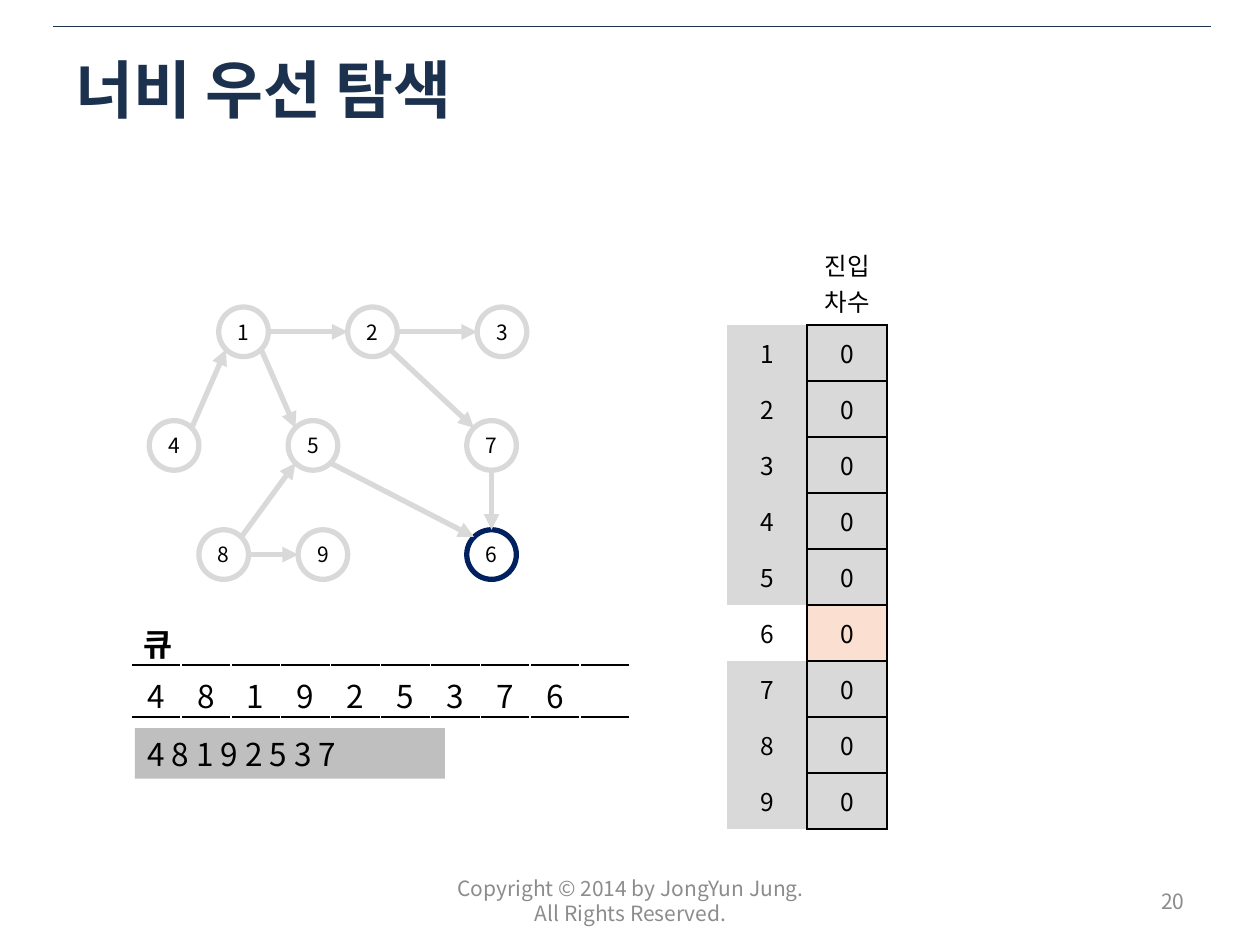
"""Build the breadth-first search slide with its graph, in-degree table and queue."""
from lxml.etree import SubElement
from pptx import Presentation
from pptx.dml.color import RGBColor
from pptx.enum.shapes import MSO_CONNECTOR, MSO_SHAPE
from pptx.enum.text import MSO_ANCHOR, PP_ALIGN
from pptx.oxml.ns import qn
from pptx.util import Cm, Pt

FONT = "Noto Sans CJK KR"
NO_STYLE = "{2D5ABB26-0587-4C30-8999-92F81FD0307C}"
COLORS = {
    "title": "1C314E", "footer": "8C8C8C", "text": "000000", "white": "FFFFFF",
    "done": "D9D9D9", "current": "002060", "highlight": "FBE0D1", "output": "BFBFBF",
}


def write(tf, text, size, align=PP_ALIGN.LEFT, color="text", bold=False):
    p = tf.paragraphs[0]
    p.text = text
    p.alignment = align
    p.font.size = Pt(size)
    p.font.bold = bold
    p.font.name = FONT
    p.font.color.rgb = RGBColor.from_string(COLORS[color])
    SubElement(p._p.pPr.find(qn("a:defRPr")), qn("a:ea"), typeface=FONT)


def set_borders(cell, **sides):
    tcPr = cell._tc.get_or_add_tcPr()
    for i, side in enumerate(s for s in "LRTB" if s in sides):
        ln = tcPr.makeelement(qn(f"a:ln{side}"), {"w": str(Pt(1))})
        fill = SubElement(ln, qn("a:solidFill"))
        SubElement(fill, qn("a:srgbClr"), val=COLORS[sides[side]])
        tcPr.insert(i, ln)


prs = Presentation()
prs.slide_width, prs.slide_height = Cm(25.4), Cm(19.05)
s = prs.slides.add_slide(prs.slide_layouts[6])

labels = [
    ("Copyright © 2014 by JongYun Jung. All Rights Reserved.",
     8.69, 17.65, 8.05, 1.02, 12, PP_ALIGN.CENTER, "footer", False),
    ("20", 18.21, 17.65, 5.92, 1.02, 12, PP_ALIGN.RIGHT, "footer", False),
    ("너비 우선 탐색", 1.27, 0.84, 22.86, 1.9, 36, PP_ALIGN.LEFT, "title", True),
]
for text, x, y, w, h, size, align, color, bold in labels:
    tf = s.shapes.add_textbox(Cm(x), Cm(y), Cm(w), Cm(h)).text_frame
    tf.word_wrap = True
    tf.vertical_anchor = MSO_ANCHOR.MIDDLE
    write(tf, text, size, align, color, bold)

R = 0.5
nodes = {
    1: (4.91, 6.69), 2: (7.51, 6.69), 3: (10.12, 6.69),
    4: (3.51, 8.98), 5: (6.31, 8.98), 7: (9.91, 8.98),
    8: (4.51, 11.18), 9: (6.51, 11.18), 6: (9.91, 11.18),
}
edges = [(1, 2), (2, 3), (4, 1), (1, 5), (2, 7), (8, 5), (8, 9), (5, 6), (7, 6)]
current = 6

for node, (x, y) in nodes.items():
    sp = s.shapes.add_shape(MSO_SHAPE.OVAL, Cm(x - R), Cm(y - R), Cm(2 * R), Cm(2 * R))
    sp.shadow.inherit = False
    sp.fill.background()
    sp.line.width = Pt(3)
    sp.line.color.rgb = RGBColor.from_string(COLORS["current" if node == current else "done"])
    tf = sp.text_frame
    tf.margin_left = tf.margin_right = tf.margin_top = tf.margin_bottom = 0
    tf.vertical_anchor = MSO_ANCHOR.MIDDLE
    write(tf, str(node), 12, PP_ALIGN.CENTER)

lines = [(1.07, 0.53, 24.41, 0.53, "title", 0.25)]
for a, b in edges:
    (x1, y1), (x2, y2) = nodes[a], nodes[b]
    dx = (x2 > x1) - (x2 < x1)
    dy = (y2 > y1) - (y2 < y1)
    reach = R * 0.71 if dx and dy else R
    lines.append((x1 + dx * reach, y1 + dy * reach, x2 - dx * reach, y2 - dy * reach, "done", 3))

for x1, y1, x2, y2, color, width in lines:
    cxn = s.shapes.add_connector(MSO_CONNECTOR.STRAIGHT, Cm(x1), Cm(y1), Cm(x2), Cm(y2))
    cxn.line.color.rgb = RGBColor.from_string(COLORS[color])
    cxn.line.width = Pt(width)
    if color == "done":
        SubElement(cxn.line._get_or_add_ln(), qn("a:tailEnd"), type="triangle")
    SubElement(cxn._element.spPr, qn("a:effectLst"))

degrees = s.shapes.add_table(10, 2, Cm(14.66), Cm(4.85), Cm(3.22), Cm(11.87)).table
queue = s.shapes.add_table(2, 10, Cm(2.64), Cm(12.37), Cm(10.06), Cm(2.08)).table
for table in (degrees, queue):
    table.first_row = table.horz_banding = False
    table._tbl.tblPr[0].text = NO_STYLE
    for cell in table.iter_cells():
        cell.fill.background()

for i, row in enumerate(degrees.rows):
    row.height = Cm(1.13 if i else 1.7)
    for j, cell in enumerate(row.cells):
        cell.vertical_anchor = MSO_ANCHOR.MIDDLE
        text = ("0" if j else str(i)) if i else ("진입차수" if j else "")
        write(cell.text_frame, text, 14, PP_ALIGN.CENTER)
        if i and (j or i != current):
            cell.fill.solid()
            cell.fill.fore_color.rgb = RGBColor.from_string(
                COLORS["highlight" if i == current else "done"])
        if i and j:
            set_borders(cell, L="text", R="text", T="text", B="text")

order = "481925376"
for i, row in enumerate(queue.rows):
    row.height = Cm(1.04)
    for j, cell in enumerate(row.cells):
        cell.margin_top, cell.margin_bottom = Cm(0.13), 0
        if i:
            write(cell.text_frame, order[j:j + 1], 18, PP_ALIGN.CENTER)
            set_borders(cell, L="white", R="white", T="text", B="text")
        else:
            write(cell.text_frame, "" if j else "큐", 18, bold=True)
            set_borders(cell, B="text")

sp = s.shapes.add_shape(MSO_SHAPE.RECTANGLE, Cm(2.72), Cm(14.68), Cm(6.25), Cm(1.02))
sp.shadow.inherit = False
sp.fill.solid()
sp.fill.fore_color.rgb = RGBColor.from_string(COLORS["output"])
sp.line.fill.background()
sp.text_frame.word_wrap = True
sp.text_frame.vertical_anchor = MSO_ANCHOR.MIDDLE
write(sp.text_frame, " ".join(order[:-1]), 18)

prs.save("out.pptx")
